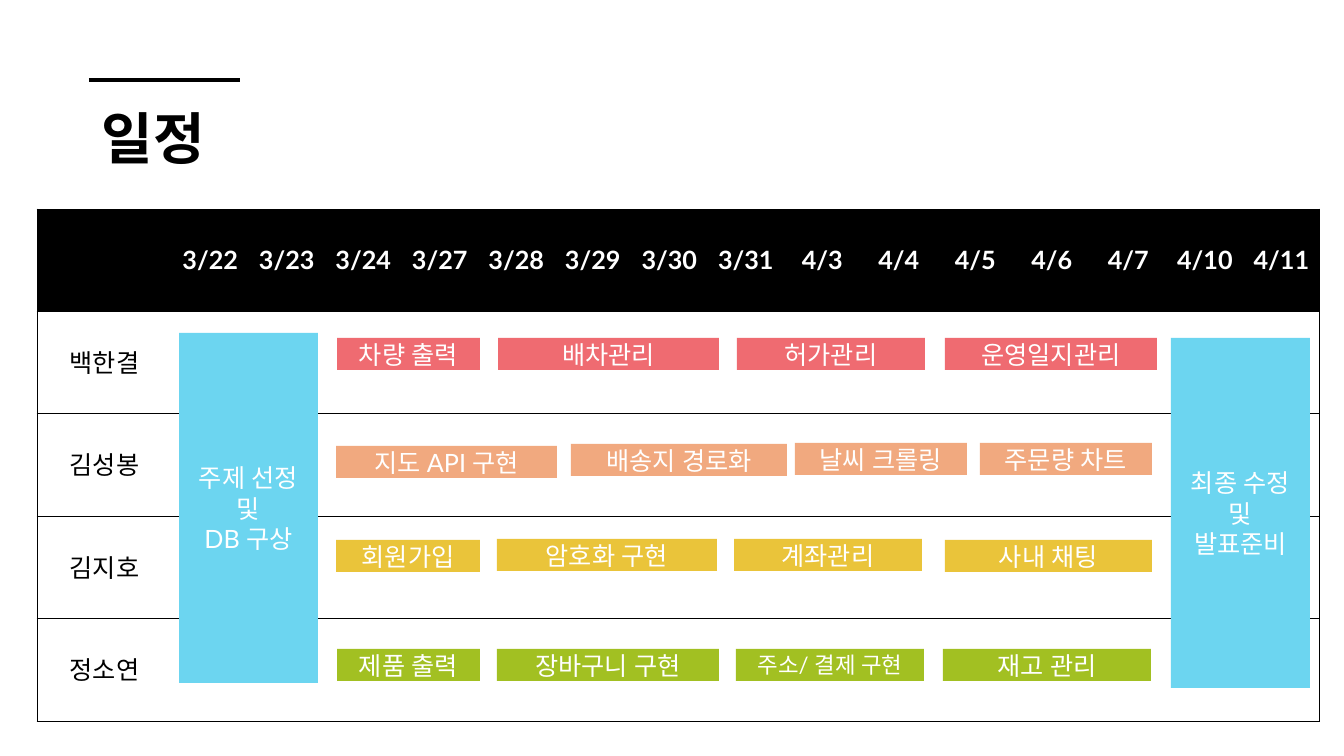
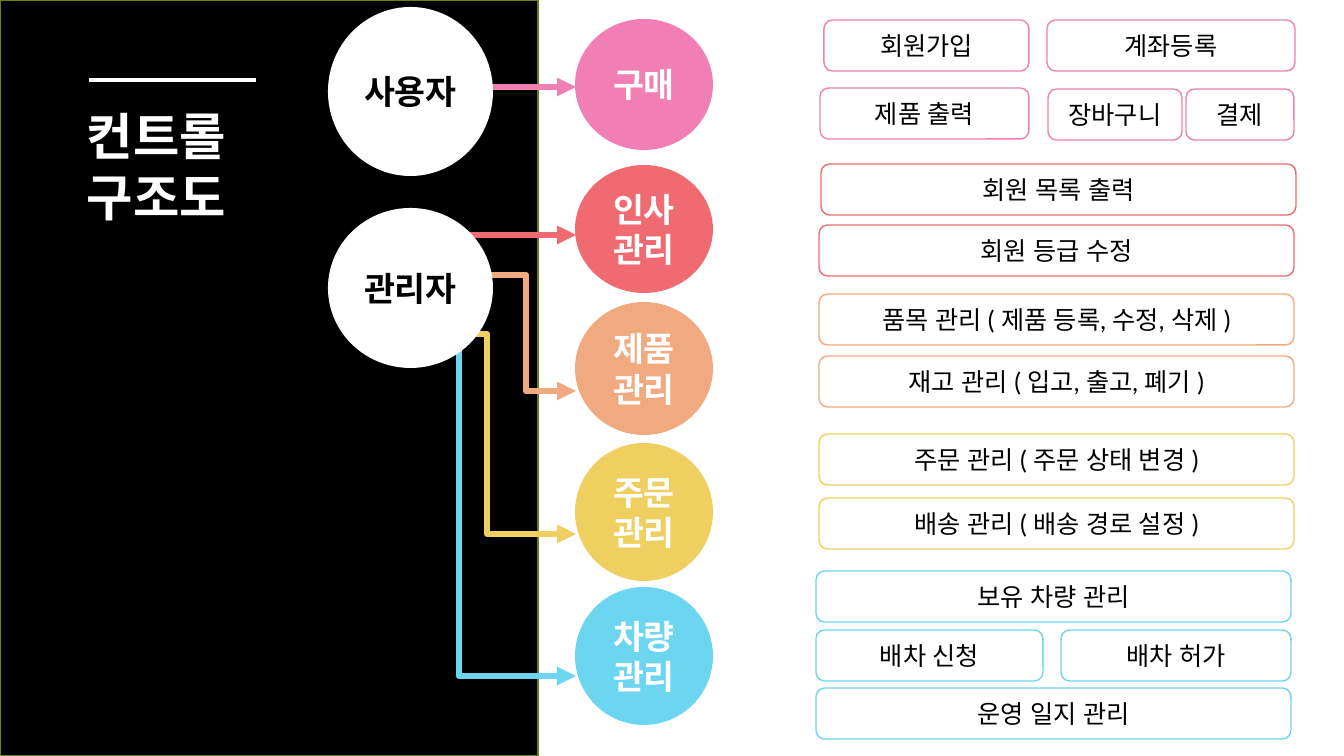
import dataclasses

import pptx
import pptx.dml.color
import pptx.enum.shapes
import pptx.enum.text
import pptx.oxml.ns
import pptx.util
from lxml import etree

SCALE = 12192000 / 1344  # EMU in one px
FONT = "Lato"
COLOURS = {
    "black": "000000", "white": "FFFFFF", "panel_edge": "6A7F16",
    "pink": "F17FB3", "red": "EF6B71", "orange": "F1A97F",
    "gold": "EAC43A", "yellow": "EECF5F", "green": "A2C022", "blue": "6CD5F0",
}
SHAPES = pptx.enum.shapes.MSO_SHAPE
LINES = pptx.enum.shapes.MSO_CONNECTOR
ALIGN = pptx.enum.text.PP_ALIGN
ANCHOR = pptx.enum.text.MSO_ANCHOR


@dataclasses.dataclass
class Box:
    left: int
    top: int
    width: int
    height: int

    def inner(self, left, top, width, height):
        return Box(self.left + left, self.top + top, width, height)

    def emu(self):
        return [px(n) for n in (self.left, self.top, self.width, self.height)]


def px(length):
    return pptx.util.Emu(round(length * SCALE))


def colour(name):
    return pptx.dml.color.RGBColor.from_string(COLOURS[name])


def child(parent, tag, **attributes):
    return etree.SubElement(parent, pptx.oxml.ns.qn(tag), attributes)


# Shared parts

def write(frame, text, size=18, ink="black", bold=False, align=ALIGN.CENTER):
    """Fill a text frame, one paragraph for each line of text."""
    frame.word_wrap = True
    frame.margin_left = frame.margin_right = 0
    frame.margin_top = frame.margin_bottom = 0
    for index, line in enumerate(text.split("\n")):
        para = frame.add_paragraph() if index else frame.paragraphs[0]
        para.alignment = align
        span = para.add_run()
        span.text = line
        span.font.size = pptx.util.Pt(size)
        span.font.bold = bold
        span.font.color.rgb = colour(ink)
        span.font.name = FONT
        child(span.font._element, "a:ea", typeface=FONT)


def add_block(page, kind, box, fill, text="", edge=None, **style):
    block = page.shapes.add_shape(kind, *box.emu())
    block.shadow.inherit = False
    block.fill.solid()
    block.fill.fore_color.rgb = colour(fill)
    if edge:
        block.line.color.rgb = colour(edge)
        block.line.width = pptx.util.Pt(1)
    else:
        block.line.fill.background()
    if text:
        write(block.text_frame, text, **style)
        block.text_frame.vertical_anchor = ANCHOR.MIDDLE


def add_line(page, start, end, ink, width, arrow=False):
    straight = start[0] == end[0] or start[1] == end[1]
    line = page.shapes.add_connector(
        LINES.STRAIGHT if straight else LINES.ELBOW,
        *[px(n) for n in (*start, *end)])
    line.line.color.rgb = colour(ink)
    line.line.width = pptx.util.Pt(width)
    if arrow:
        child(line.line._get_or_add_ln(), "a:tailEnd", type="triangle")
    child(line._element.spPr, "a:effectLst")


def add_title(page, box, text, rule_width, **style):
    """Title text with the short rule that stands above it."""
    add_line(page, (89, 80), (89 + rule_width, 80), style["ink"], 3.5)
    title = page.shapes.add_textbox(*box.emu())
    write(title.text_frame, text, bold=True, **style)
    title.text_frame.vertical_anchor = ANCHOR.MIDDLE


# Schedule slide

DATES = ("3/22 3/23 3/24 3/27 3/28 3/29 3/30 3/31 "
         "4/3 4/4 4/5 4/6 4/7 4/10 4/11").split()
MEMBERS = ["백한결", "김성봉", "김지호", "정소연"]
NAME_WIDTH = 135
# Bar colour, then (left, top, width, text) of each task
TASKS = {
    "red": [(300, 129, 143, "차량 출력"), (461, 129, 221, "배차관리"),
            (700, 129, 188, "허가관리"), (908, 129, 212, "운영일지관리")],
    "orange": [(299, 237, 221, "지도 API 구현"), (534, 235, 216, "배송지 경로화"),
               (758, 234, 172, "날씨 크롤링"), (943, 234, 172, "주문량 차트")],
    "gold": [(299, 331, 144, "회원가입"), (460, 330, 220, "암호화 구현"),
             (697, 330, 188, "계좌관리"), (908, 331, 207, "사내 채팅")],
    "green": [(300, 440, 143, "제품 출력"), (460, 440, 222, "장바구니 구현"),
              (699, 440, 188, "주소/ 결제 구현"), (906, 440, 208, "재고 관리")],
}
SMALL_TASKS = {"주소/ 결제 구현": 16}
PHASES = [(142, 124, "주제 선정\n및\nDB 구상"), (1134, 129, "최종 수정\n및\n발표준비")]


def set_borders(cell, sides):
    properties = cell._tc.get_or_add_tcPr()
    for index, side in enumerate("LRTB"):
        edge = etree.Element(pptx.oxml.ns.qn(f"a:ln{side}"), w="6350")
        if side in sides:
            fill = child(edge, "a:solidFill")
            child(fill, "a:srgbClr", val=COLOURS["black"])
        else:
            child(edge, "a:noFill")
        properties.insert(index, edge)


def add_calendar(page, box):
    rows, columns = len(MEMBERS) + 1, len(DATES) + 1
    table = page.shapes.add_table(rows, columns, *box.emu()).table
    for index, column in enumerate(table.columns):
        days_width = px(box.width - NAME_WIDTH)
        column.width = days_width // len(DATES) if index else px(NAME_WIDTH)
    for row in table.rows:
        row.height = px(box.height) // rows
    for r in range(rows):
        for c in range(columns):
            cell = table.cell(r, c)
            cell.fill.solid()
            cell.fill.fore_color.rgb = colour("white" if r else "black")
            cell.vertical_anchor = ANCHOR.MIDDLE
            cell.margin_left = cell.margin_right = 0
            if r == 0 and c:
                write(cell.text_frame, DATES[c - 1], ink="white", bold=True)
            elif r and c == 0:
                write(cell.text_frame, MEMBERS[r - 1])
            outer = {0: "L", columns - 1: "R"}.get(c, "")
            set_borders(cell, "TB" + outer)


def add_schedule(page, box):
    add_calendar(page, box)
    for left, top, text in PHASES:
        add_block(page, SHAPES.RECTANGLE, box.inner(left, top, 139, 350),
                  "blue", text, ink="white")
    for fill, tasks in TASKS.items():
        for left, top, width, text in tasks:
            add_block(page, SHAPES.RECTANGLE, box.inner(left, top, width, 32),
                      fill, text, ink="white", size=SMALL_TASKS.get(text, 18))


def schedule_slide(page):
    add_title(page, Box(102, 104, 310, 67), "일정", 151,
              ink="black", size=40, align=ALIGN.LEFT)
    add_schedule(page, Box(37, 209, 1283, 512))


# Control structure slide

@dataclasses.dataclass
class Topic:
    label: str
    ink: str
    top: int
    height: int
    start: tuple  # arrow start, from the topic's corner
    end: int      # height at which the arrow arrives
    actions: list  # (left, top, width, text)


WIDE = 475
TOPICS = [
    Topic("구매", "pink", 19, 131, (-99, 68), 68, [
        (249, 1, 205, "회원가입"), (472, 1, 248, "계좌등록"),
        (245, 69, 209, "제품 출력"), (473, 70, 134, "장바구니"),
        (611, 70, 108, "결제")]),
    Topic("인사\n관리", "red", 165, 128, (-110, 70), 70, [
        (246, -1, WIDE, "회원 목록 출력"), (244, 60, WIDE, "회원 등급 수정")]),
    Topic("제품\n관리", "orange", 302, 133, (-99, -27), 89, [
        (244, -8, WIDE, "품목 관리 ( 제품 등록, 수정, 삭제 )"),
        (244, 54, WIDE, "재고 관리 ( 입고, 출고, 폐기 )")]),
    Topic("주문\n관리", "yellow", 443, 138, (-177, -109), 91, [
        (244, -9, WIDE, "주문 관리 ( 주문 상태 변경 )"),
        (244, 55, WIDE, "배송 관리 ( 배송 경로 설정 )")]),
    Topic("차량\n관리", "blue", 587, 138, (-233, -267), 89, [
        (241, -16, WIDE, "보유 차량 관리"), (241, 43, 227, "배차 신청"),
        (486, 43, 230, "배차 허가"), (241, 101, WIDE, "운영 일지 관리")]),
]
ROLES = [("사용자", 7, 169), ("관리자", 208, 160)]


def add_topic(page, box, topic):
    add_block(page, SHAPES.OVAL, box, topic.ink, topic.label,
              size=24, ink="white", bold=True)
    start = (box.left + topic.start[0], box.top + topic.start[1])
    add_line(page, start, (box.left + 1, box.top + topic.end),
             topic.ink, 4.5, arrow=True)
    for left, top, width, text in topic.actions:
        add_block(page, SHAPES.ROUNDED_RECTANGLE,
                  box.inner(left, top, width, 51), "white", text,
                  edge=topic.ink)


def add_roles(page, box):
    for label, top, height in ROLES:
        add_block(page, SHAPES.OVAL, box.inner(328, top, 165, height),
                  "white", label, size=24, bold=True)


def structure_slide(page):
    panel = Box(0, 0, 538, 756)
    add_block(page, SHAPES.RECTANGLE, panel, "black", edge="panel_edge")
    add_title(page, panel.inner(32, 81, 249, 170), "컨트롤\n구조도", 167,
              ink="white", size=36)
    for topic in TOPICS:
        add_topic(page, Box(575, topic.top, 138, topic.height), topic)
    add_roles(page, panel)


def main():
    deck = pptx.Presentation()
    deck.slide_width, deck.slide_height = px(1344), px(756)
    for build in (schedule_slide, structure_slide):
        build(deck.slides.add_slide(deck.slide_layouts[6]))
    deck.save("out.pptx")


if __name__ == "__main__":
    main()
